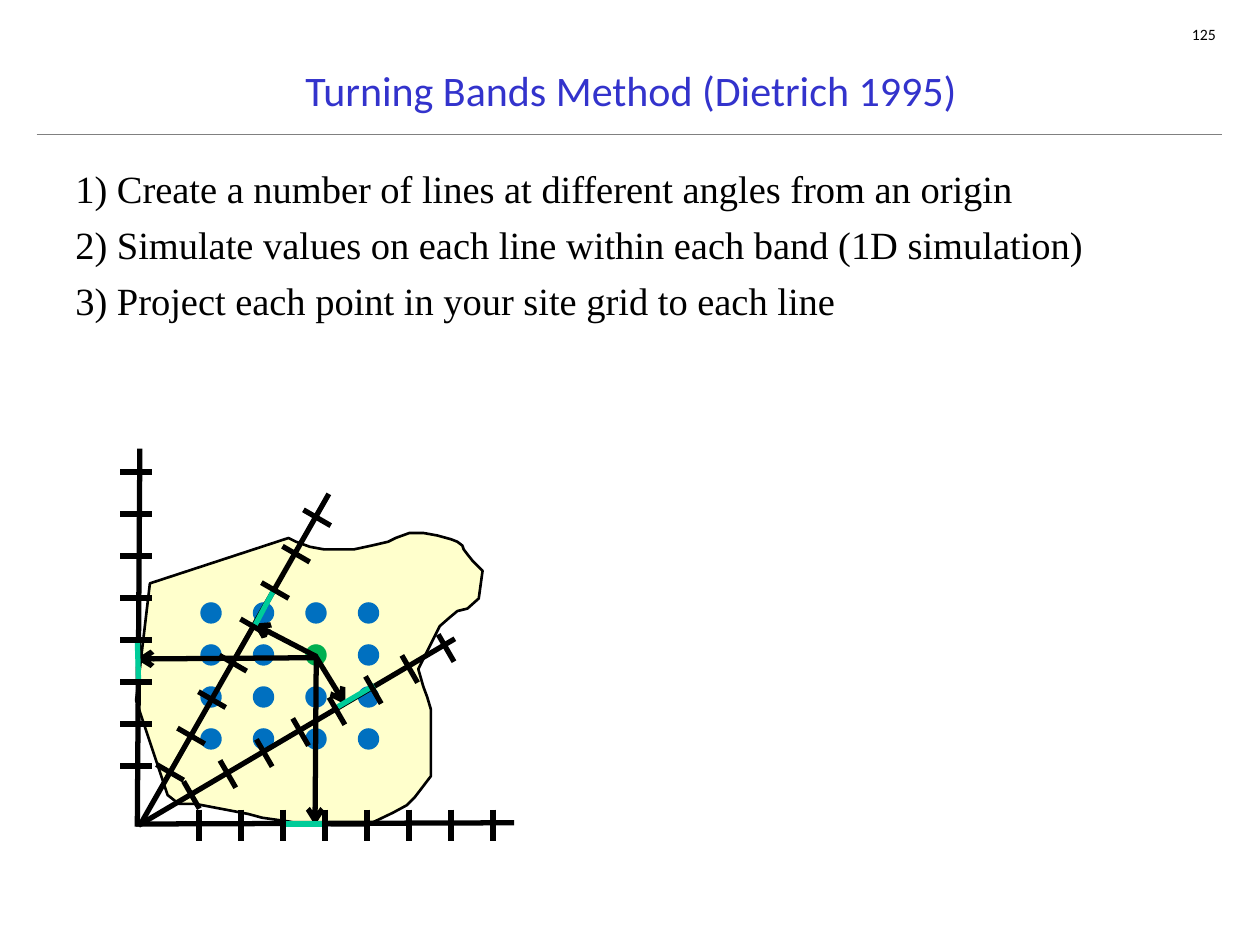
from math import cos, radians, sin

from lxml import etree
from pptx import Presentation
from pptx.dml.color import RGBColor
from pptx.enum.shapes import MSO_CONNECTOR, MSO_SHAPE
from pptx.enum.text import MSO_ANCHOR, PP_ALIGN
from pptx.oxml.ns import qn
from pptx.util import Inches, Pt

STRAIGHT = MSO_CONNECTOR.STRAIGHT
OVAL = MSO_SHAPE.OVAL
TOP, MIDDLE = MSO_ANCHOR.TOP, MSO_ANCHOR.MIDDLE
LEFT, CENTER, RIGHT = PP_ALIGN.LEFT, PP_ALIGN.CENTER, PP_ALIGN.RIGHT

BLACK, GRAY, TITLE_BLUE = "000000", "808080", "3333CC"
SITE_YELLOW, GRID_BLUE, POINT_GREEN, BAND_TEAL = "FFFFCC", "0070C0", "00B050", "00CC99"

STEPS = [
    "1) Create a number of lines at different angles from an origin",
    "2) Simulate values on each line within each band (1D simulation)",
    "3) Project each point in your site grid to each line",
]

# Diagram coordinates are inches from the top left of the diagram's box.
SITE_OUTLINE = [
    (1.29, 0.77), (0.19, 1.13), (0.08, 2.06), (0.33, 2.81), (0.42, 2.88), (0.55, 2.88),
    (0.97, 2.96), (1.08, 2.99), (1.29, 3.02), (1.34, 3.03), (1.64, 3.05), (1.91, 3.05),
    (2.12, 2.95), (2.23, 2.89), (2.29, 2.83), (2.42, 2.66), (2.42, 2.13), (2.39, 2.03),
    (2.36, 1.95), (2.32, 1.81), (2.49, 1.47), (2.57, 1.40), (2.63, 1.35), (2.71, 1.33),
    (2.80, 1.25), (2.83, 1.03), (2.75, 0.95), (2.71, 0.90), (2.68, 0.86), (2.67, 0.83),
    (2.63, 0.80), (2.58, 0.78), (2.47, 0.75), (2.36, 0.73), (2.25, 0.73), (2.14, 0.77),
    (2.08, 0.80), (1.95, 0.83), (1.81, 0.86), (1.57, 0.86), (1.46, 0.84), (1.35, 0.80),
]
PROJECTIONS = [
    ((1.51, 1.71), (1.01, 1.45)),
    ((1.50, 1.70), (1.74, 2.09)),
    ((1.51, 1.73), (1.50, 3.05)),
    ((1.50, 1.72), (0.08, 1.73)),
]
AXES = [
    ((0.08, 3.04), (3.08, 3.03)),
    ((0.10, 3.05), (2.61, 1.57)),
    ((0.11, 3.05), (1.61, 0.42)),
    ((0.09, 3.06), (0.11, 0.06)),
]
BANDS = [
    ((1.24, 3.04), (1.58, 3.04)),
    ((0.10, 1.92), (0.09, 1.58)),
    ((1.68, 2.11), (1.97, 1.94)),
    ((1.02, 1.47), (1.18, 1.17)),
]
FIRST_TICKS = {0: (0.58, 3.05), 30: (0.52, 2.81), 60: (0.35, 2.63), 90: (0.08, 2.58)}
TICK_COUNT, TICK_GAP, TICK_LENGTH = 8, 1 / 3, 0.25
GRID_SIZE, DOT_SIZE = 4, 0.17
SAMPLE_CELL = (1, 2)


def color(hex_string):
    return RGBColor.from_string(hex_string)


def add_text(page, box, lines, font_name, size, hex_string,
             align=LEFT, anchor=TOP, insets=(0.1, 0.05), gap=0):
    """Write one paragraph per line; insets are horizontal and vertical, gap is in points."""
    frame = page.shapes.add_textbox(*map(Inches, box)).text_frame
    frame.word_wrap = True
    frame.vertical_anchor = anchor
    frame.margin_left = frame.margin_right = Inches(insets[0])
    frame.margin_top = frame.margin_bottom = Inches(insets[1])
    for index, line in enumerate(lines):
        para = frame.add_paragraph() if index else frame.paragraphs[0]
        para.text = line
        para.alignment = align
        para.space_before = Pt(gap if index else 0)
        para.font.name = font_name
        para.font.size = Pt(size)
        para.font.color.rgb = color(hex_string)


def add_line(page, start, end, hex_string=BLACK, width=3, arrow=False):
    line = page.shapes.add_connector(STRAIGHT, *map(Inches, (*start, *end)))
    line.line.color.rgb = color(hex_string)
    line.line.width = Pt(width)
    if arrow:
        etree.SubElement(line.line._get_or_add_ln(), qn("a:tailEnd"), type="arrow")
    etree.SubElement(line._element.spPr, qn("a:effectLst"))


def draw_header(page, left, top, width):
    add_text(page, (left + 8.66, top, 0.7, 0.15), ["125"], "Calibri", 9, BLACK,
             align=RIGHT, insets=(0, 0))
    add_text(page, (left + 0.22, top + 0.24, 9, 0.55),
             ["Turning Bands Method (Dietrich 1995)"], "Calibri", 24, TITLE_BLUE,
             align=CENTER, anchor=MIDDLE)
    add_line(page, (left, top + 0.87), (left + width, top + 0.87), GRAY, 0.75)


def draw_site(page, left, top):
    """Draw the site area with its grid of points."""
    group = page.shapes.add_group_shape()
    corners = [(Inches(left + x), Inches(top + y)) for x, y in SITE_OUTLINE]
    builder = group.shapes.build_freeform(*corners[0])
    builder.add_line_segments(corners[1:], close=True)
    site = builder.convert_to_shape()
    site.shadow.inherit = False
    site.fill.solid()
    site.fill.fore_color.rgb = color(SITE_YELLOW)
    site.line.color.rgb = color(BLACK)
    site.line.width = Pt(1.5)

    for row in range(GRID_SIZE):
        for column in range(GRID_SIZE):
            x = left + 0.59 + column * 5 / 12
            y = top + 1.28 + row / 3
            dot = group.shapes.add_shape(OVAL, *map(Inches, (x, y, DOT_SIZE, DOT_SIZE)))
            dot.shadow.inherit = False
            dot.fill.solid()
            is_sample = (row, column) == SAMPLE_CELL
            dot.fill.fore_color.rgb = color(POINT_GREEN if is_sample else GRID_BLUE)
            dot.line.fill.background()


def draw_ticks(page, first, degrees):
    """Step along an axis at the given angle, drawing ticks at right angles to it."""
    across, up = cos(radians(degrees)), sin(radians(degrees))
    half = TICK_LENGTH / 2
    for index in range(TICK_COUNT):
        x = first[0] + index * TICK_GAP * across
        y = first[1] - index * TICK_GAP * up
        add_line(page, (x - half * up, y - half * across), (x + half * up, y + half * across))


def draw_diagram(page, left, top):
    def place(point):
        return left + point[0], top + point[1]

    draw_site(page, left, top)
    for start, end in PROJECTIONS:
        add_line(page, place(start), place(end), arrow=True)
    for start, end in AXES:
        add_line(page, place(start), place(end))
    for start, end in BANDS:
        add_line(page, place(start), place(end), BAND_TEAL)
    for degrees, first in FIRST_TICKS.items():
        draw_ticks(page, place(first), degrees)


def main():
    deck = Presentation()
    deck.slide_width, deck.slide_height = Inches(10), Inches(7.5)
    page = deck.slides.add_slide(deck.slide_layouts[6])
    draw_header(page, 0.29, 0.2, 9.41)
    add_text(page, (0.5, 1.23, 9, 5.9), STEPS, "Times New Roman", 22, BLACK,
             insets=(0.1, 0.08), gap=5.5)
    draw_diagram(page, 1, 3.5)
    deck.save("out.pptx")


if __name__ == "__main__":
    main()
